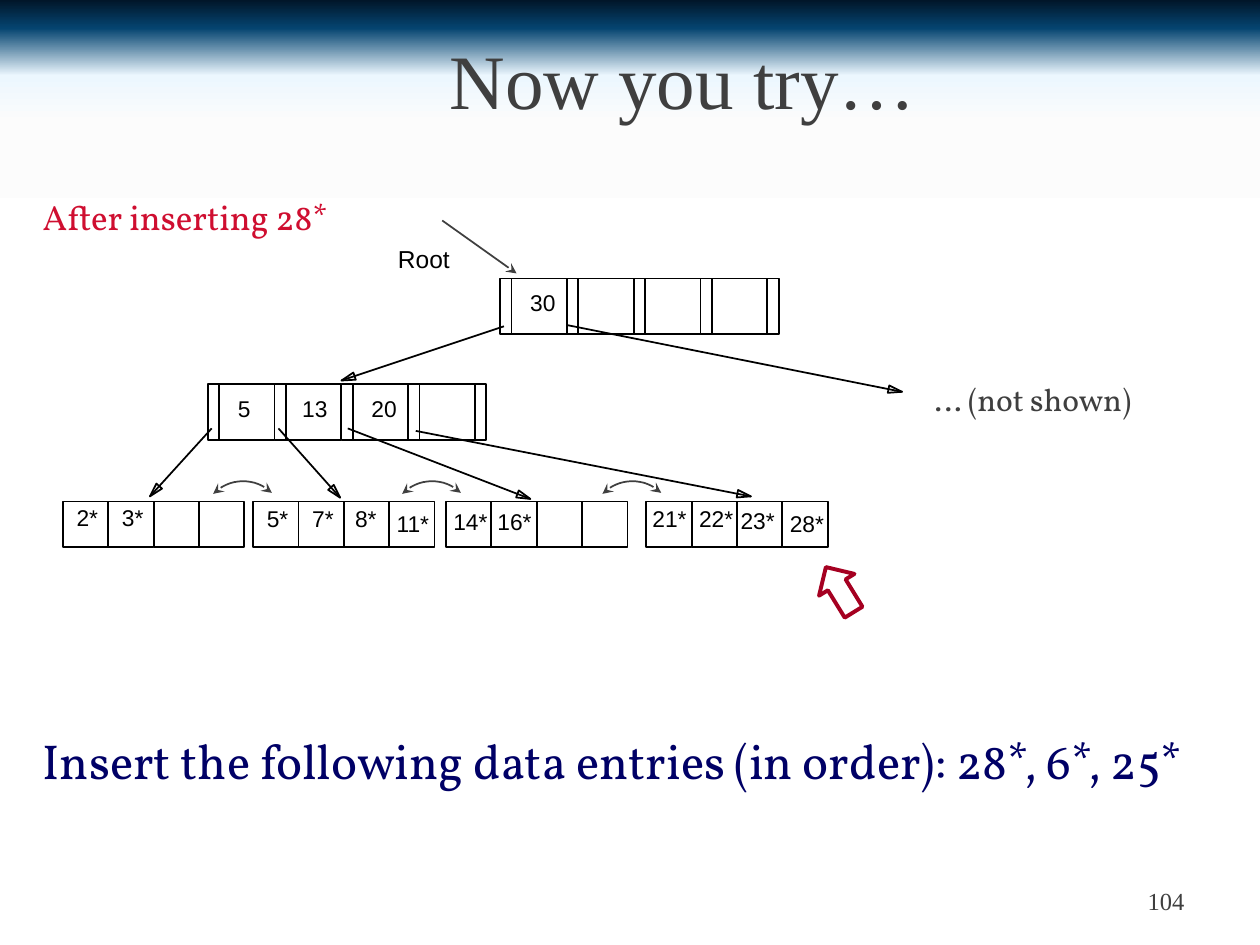
"""Build a slide that shows a B+ tree after the data entry 28* has been inserted."""
from math import atan2, cos, hypot, pi, sin

from lxml.etree import SubElement
from pptx import Presentation
from pptx.dml.color import RGBColor
from pptx.enum.shapes import MSO_CONNECTOR, MSO_SHAPE
from pptx.enum.text import MSO_ANCHOR, MSO_AUTO_SIZE, PP_ALIGN
from pptx.oxml.ns import qn
from pptx.util import Inches, Pt

BACKDROP = [(0, "011629"), (3, "054470"), (8, "ECF7FE"), (13, "FCFCFC"), (21, "FFFFFF"), (100, "FFFFFF")]
THEME = {
    "ink": "000000", "grey": "3F3F3F", "marker": "A50021", "thin": 1, "thick": 2.25,
    "title": {"name": "Times New Roman", "size": 44, "color": "3F3F3F"},
    "number": {"name": "Times New Roman", "size": 14, "color": "3F3F3F"},
    "key": {"name": "Arial", "size": 13, "color": "000000"},
    "root": {"name": "Arial", "size": 14, "color": "000000"},
    "aside": {"name": "Vollkorn", "size": 18, "color": "3F3F3F"},
    "step": {"name": "Vollkorn", "size": 20, "color": "CF0E30"},
    "task": {"name": "Vollkorn", "size": 28, "color": "000066"},
}

FIXED_TEXTS = [
    ("104", "number", (7.17, 6.95, 2.33, 0.4), PP_ALIGN.RIGHT),
    ("Now you try…", "title", (1.17, 0, 8.5, 1.25), PP_ALIGN.CENTER),
]
FITTED_TEXTS = [
    ("Root", "root", (3.06, 1.89, 0.64, 0.33)),
    ("… (not shown)", "aside", (7.32, 2.97, 1.85, 0.4)),
    ("After inserting 28*", "step", (0.24, 1.5, 2.55, 0.44)),
    ("Insert the following data entries (in order): 28*, 6*, 25*", "task", (0.24, 5.75, 9.52, 0.57)),
]
INDEX_NODES = [
    (3.97, 2.21, [("30", 4.11, 2.24)]),
    (1.65, 3.05, [("5", 1.79, 3.08), ("13", 2.3, 3.08), ("20", 2.85, 3.08)]),
]
LEAVES = [
    (0.5, [("2*", 0.51, 3.95), ("3*", 0.87, 3.95)]),
    (2.01, [("5*", 2.02, 3.96), ("7*", 2.38, 3.96), ("8*", 2.72, 3.96), ("11*", 3.05, 4)]),
    (3.54, [("14*", 3.5, 3.98), ("16*", 3.85, 3.98)]),
    (5.13, [("21*", 5.08, 3.96), ("22*", 5.45, 3.96), ("23*", 5.78, 3.97), ("28*", 6.17, 4)]),
]
POINTERS = [
    (4, 2.59, 2.71, 3.02), (4.5, 2.58, 7.16, 3.11),
    (1.68, 3.4, 1.19, 3.94), (2.21, 3.4, 2.7, 3.95), (2.76, 3.4, 4.21, 3.96), (3.3, 3.42, 5.96, 3.94),
]
SIBLING_LINKS = [1.76, 3.26, 4.85]
SLOTS, KEY_W, KEY_H, POINTER_W = 4, 0.53, 0.44, 0.09
LEAF_TOP, LEAF_CELL = 3.98, 0.36
HEAD_LEN, HEAD_HALF = 0.11, 0.03
LINK_TOP, LINK_R, LINK_ROT, LINK_STEPS = 3.75, 0.33, 224, 16


def outline(sp, color=THEME["ink"], width=THEME["thin"], ends=()):
    sp.line.color.rgb = RGBColor.from_string(color)
    sp.line.width = Pt(width)
    for end in ends:
        SubElement(sp.line._get_or_add_ln(), qn(f"a:{end}"), type="stealth")


def hollow(sp, **line):
    sp.shadow.inherit = False
    sp.fill.background()
    outline(sp, **line)
    return sp


def shape(s, kind, box, **line):
    return hollow(s.shapes.add_shape(kind, *map(Inches, box)), **line)


def freeform(s, points, close, **line):
    pts = [(Inches(x), Inches(y)) for x, y in points]
    fb = s.shapes.build_freeform(*pts[0])
    fb.add_line_segments(pts[1:], close=close)
    return hollow(fb.convert_to_shape(), **line)


def connect(s, span, **line):
    cn = s.shapes.add_connector(MSO_CONNECTOR.STRAIGHT, *map(Inches, span))
    outline(cn, **line)
    SubElement(cn._element.spPr, qn("a:effectLst"))


def text(s, words, style, box, align=PP_ALIGN.LEFT, fitted=True):
    tf = s.shapes.add_textbox(*map(Inches, box)).text_frame
    frame = {
        "word_wrap": not fitted,
        "auto_size": MSO_AUTO_SIZE.SHAPE_TO_FIT_TEXT if fitted else MSO_AUTO_SIZE.NONE,
        "vertical_anchor": MSO_ANCHOR.TOP if fitted else MSO_ANCHOR.MIDDLE,
    }
    for name, value in frame.items():
        setattr(tf, name, value)
    p = tf.paragraphs[0]
    p.alignment = align
    r = p.add_run()
    r.text = words
    fmt = THEME[style]
    for name, value in {"name": fmt["name"], "size": Pt(fmt["size"])}.items():
        setattr(r.font, name, value)
    r.font.color.rgb = RGBColor.from_string(fmt["color"])


def keys(s, entries):
    for words, x, y in entries:
        stars = words.count("*")
        text(s, words, "key", (x, y, 0.2 + 0.1 * (len(words) - stars) + 0.07 * stars, 0.32))


def index_node(s, left, top, entries):
    for i in range(SLOTS):
        x = left + i * KEY_W
        shape(s, MSO_SHAPE.RECTANGLE, (x, top, KEY_W, KEY_H))
        connect(s, (x + POINTER_W, top, x + POINTER_W, top + KEY_H))
    shape(s, MSO_SHAPE.RECTANGLE, (left + SLOTS * KEY_W, top, POINTER_W, KEY_H))
    keys(s, entries)


def leaf(s, left, entries):
    for i in range(SLOTS):
        shape(s, MSO_SHAPE.RECTANGLE, (left + i * LEAF_CELL, LEAF_TOP, LEAF_CELL, LEAF_CELL))
    keys(s, entries)


def pointer(s, x1, y1, x2, y2):
    connect(s, (x1, y1, x2, y2))
    angle, spread, reach = atan2(y2 - y1, x2 - x1), atan2(HEAD_HALF, HEAD_LEN), hypot(HEAD_LEN, HEAD_HALF)
    barbs = [(x2 - reach * cos(angle + d), y2 - reach * sin(angle + d)) for d in (-spread, spread)]
    freeform(s, [barbs[0], (x2, y2), barbs[1]], True)


def sibling_link(s, left):
    turns = [i * pi / 2 / LINK_STEPS for i in range(LINK_STEPS + 1)]
    arc = [(left + LINK_R * cos(t), LINK_TOP + LINK_R * sin(t)) for t in turns]
    freeform(s, arc, False, color=THEME["grey"], ends=("headEnd", "tailEnd")).rotation = LINK_ROT


def backdrop(s):
    fill = s.background.fill
    fill.gradient()
    fill.gradient_angle = 270
    stops = s.background._cSld.find(".//" + qn("a:gsLst"))
    for old in list(stops):
        stops.remove(old)
    for percent, color in BACKDROP:
        gs = SubElement(stops, qn("a:gs"), pos=str(percent * 1000))
        SubElement(gs, qn("a:srgbClr"), val=color)


def main():
    prs = Presentation()
    prs.slide_width, prs.slide_height = Inches(10), Inches(7.5)
    s = prs.slides.add_slide(prs.slide_layouts[6])
    backdrop(s)
    for item in FIXED_TEXTS:
        text(s, *item, fitted=False)
    for node in INDEX_NODES:
        index_node(s, *node)
    for item in LEAVES:
        leaf(s, *item)
    for span in POINTERS:
        pointer(s, *span)
    for left in SIBLING_LINKS:
        sibling_link(s, left)
    connect(s, (3.51, 1.75, 4.1, 2.17), color=THEME["grey"], ends=("tailEnd",))
    for item in FITTED_TEXTS:
        text(s, *item)
    marker = shape(s, MSO_SHAPE.UP_ARROW, (6.5, 4.47, 0.33, 0.42), color=THEME["marker"], width=THEME["thick"])
    marker.rotation = 328.4
    prs.save("out.pptx")


if __name__ == "__main__":
    main()
